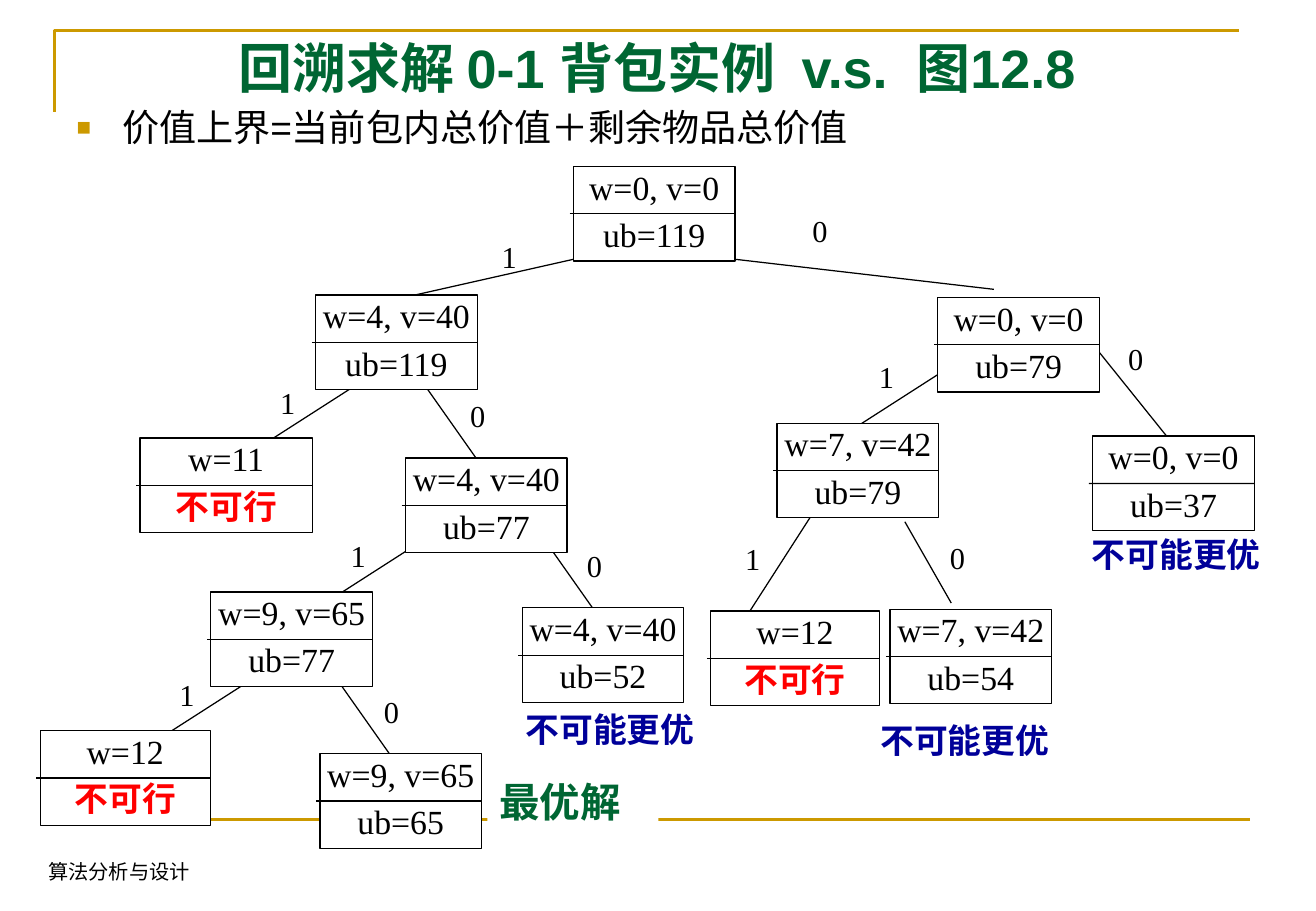
import pptx
import pptx.dml.color
import pptx.enum.shapes
import pptx.enum.text
import pptx.oxml.ns
import pptx.util
from lxml import etree

Cm = pptx.util.Cm
Pt = pptx.util.Pt
RGBColor = pptx.dml.color.RGBColor
Align = pptx.enum.text.PP_ALIGN
Anchor = pptx.enum.text.MSO_ANCHOR
qn = pptx.oxml.ns.qn

BLACK = RGBColor(0x00, 0x00, 0x00)
WHITE = RGBColor(0xFF, 0xFF, 0xFF)
GOLD = RGBColor(0xCC, 0x99, 0x00)
GREEN = RGBColor(0x00, 0x66, 0x33)
RED = RGBColor(0xFF, 0x00, 0x00)
NAVY = RGBColor(0x00, 0x00, 0x99)

TITLE_FONT = {"name": "Arial", "size": Pt(32), "bold": True}
BODY_FONT = {"name": "Arial", "size": Pt(22)}
NODE_FONT = {"name": "Times New Roman", "size": Pt(20)}
VERDICT_FONT = {"name": "Times New Roman", "size": Pt(20), "bold": True}
BRANCH_FONT = {"name": "Times New Roman", "size": Pt(18)}
NOTE_FONT = {"name": "Arial", "size": Pt(20), "bold": True}
BEST_FONT = {"name": "Arial", "size": Pt(24), "bold": True}
FOOTER_FONT = {"name": "Times New Roman", "size": Pt(12)}

SLIDE_HEIGHT = 19.05
SLIDE_WIDTH = SLIDE_HEIGHT * 13 / 9
NODE_WIDTH, NODE_HEIGHT = 3.38, 1.98
INFEASIBLE = "不可行"
NODES = [
    (11.99, 3.48, NODE_WIDTH, "w=0, v=0", "ub=119"),
    (6.6, 6.17, NODE_WIDTH, "w=4, v=40", "ub=119"),
    (2.93, 9.16, 3.6, "w=11", INFEASIBLE),
    (8.48, 9.58, NODE_WIDTH, "w=4, v=40", "ub=77"),
    (4.41, 12.38, NODE_WIDTH, "w=9, v=65", "ub=77"),
    (0.84, 15.28, 3.56, "w=12", INFEASIBLE),
    (6.69, 15.76, NODE_WIDTH, "w=9, v=65", "ub=65"),
    (10.92, 12.71, NODE_WIDTH, "w=4, v=40", "ub=52"),
    (19.61, 6.22, NODE_WIDTH, "w=0, v=0", "ub=79"),
    (16.25, 8.85, NODE_WIDTH, "w=7, v=42", "ub=79"),
    (14.86, 12.78, 3.53, "w=12", INFEASIBLE),
    (18.61, 12.74, NODE_WIDTH, "w=7, v=42", "ub=54"),
    (22.85, 9.12, NODE_WIDTH, "w=0, v=0", "ub=37"),
]

TAKE = ("1", (-2.68, 1.72), (-2.01, -0.04))
SKIP = ("0", (1.1, 1.56), (0.64, 0.04))
BRANCHES = [
    (12.93, 5.21, ("1", (-4.39, 0.99), (-2.69, -0.36))),
    (15.27, 5.41, ("0", (5.51, 0.64), (1.47, -1.09))),
    (7.62, 7.94, TAKE),
    (8.94, 8.14, SKIP),
    (9.09, 11.14, TAKE),
    (11.38, 11.28, SKIP),
    (5.51, 14.05, TAKE),
    (7.14, 14.34, SKIP),
    (19.91, 7.64, ("1", (-2.68, 1.72), (-1.78, -0.28))),
    (22.98, 7.36, ("0", (1.55, 1.93), (0.36, -0.38))),
    (17.01, 10.71, ("1", (-1.37, 2.13), (-1.68, 0.46))),
    (18.92, 10.91, ("0", (0.97, 1.7), (0.69, 0.25))),
]

NOTES = [(10.74, 14.52), (18.16, 14.75), (22.58, 10.86)]


def apply_formats(target, formats):
    for name, value in formats.items():
        setattr(target, name, value)


def add_span(para, text, font, color):
    span = para.add_run()
    span.text = text
    apply_formats(span.font, font)
    span.font.color.rgb = color
    return span


def add_line(page, x1, y1, x2, y2, color=BLACK, width=0.75):
    line = page.shapes.add_connector(
        pptx.enum.shapes.MSO_CONNECTOR.STRAIGHT, Cm(x1), Cm(y1), Cm(x2), Cm(y2))
    line.line.color.rgb = color
    line.line.width = Pt(width)
    etree.SubElement(line._element.spPr, qn("a:effectLst"))
    return line


def add_rectangle(page, x, y, width, height):
    box = page.shapes.add_shape(
        pptx.enum.shapes.MSO_SHAPE.RECTANGLE, Cm(x), Cm(y), Cm(width), Cm(height))
    box.shadow.inherit = False
    box.fill.solid()
    box.fill.fore_color.rgb = WHITE
    return box


def add_label(page, place, text, font, color=BLACK, spacing=1.0, **frame):
    box = page.shapes.add_textbox(*(Cm(length) for length in place))
    apply_formats(box.text_frame, {"word_wrap": True, **frame})
    para = box.text_frame.paragraphs[0]
    para.line_spacing = spacing
    add_span(para, text, font, color)


def add_node(page, x, y, width, state, bound):
    box = add_rectangle(page, x, y, width, NODE_HEIGHT)
    box.line.color.rgb = BLACK
    box.line.width = Pt(0.75)
    frame = box.text_frame
    apply_formats(frame, {
        "vertical_anchor": Anchor.TOP, "word_wrap": True, "margin_left": 0,
        "margin_right": 0, "margin_top": 0, "margin_bottom": 0})
    first, second = frame.paragraphs[0], frame.add_paragraph()
    first.alignment = second.alignment = Align.CENTER
    second.space_before = Pt(4)
    add_span(first, state, NODE_FONT, BLACK)
    if bound == INFEASIBLE:
        add_span(second, bound, VERDICT_FONT, RED)
    else:
        add_span(second, bound, NODE_FONT, BLACK)
    middle = y + NODE_HEIGHT / 2
    divider = add_line(page, x - 0.08, middle, x + width, middle)
    divider.end_connect(box, 3)


def add_branch(page, x, y, kind):
    digit, (dx, dy), (label_dx, label_dy) = kind
    add_line(page, x, y, x + dx, y + dy)
    add_label(page, (x + label_dx, y + label_dy, 0.84, 1.02), digit,
              BRANCH_FONT, word_wrap=False)


def add_frame(page):
    builder = page.shapes.build_freeform(Cm(1.14), Cm(2.34))
    builder.add_line_segments(
        [(Cm(1.14), Cm(0.64)), (Cm(25.91), Cm(0.64))], close=False)
    corner = builder.convert_to_shape()
    corner.shadow.inherit = False
    corner.fill.background()
    corner.line.color.rgb = GOLD
    corner.line.width = Pt(1.5)
    add_line(page, 1.37, 17.14, 26.14, 17.14, GOLD, 1.5)


def prepare_placeholder(holder, place):
    apply_formats(holder, dict(zip(("left", "top", "width", "height"), map(Cm, place))))
    apply_formats(holder.text_frame, {
        "vertical_anchor": Anchor.TOP, "word_wrap": True,
        "auto_size": pptx.enum.text.MSO_AUTO_SIZE.NONE})
    para = holder.text_frame.paragraphs[0]
    apply_formats(para, {"line_spacing": 1.1, "space_before": Pt(0)})
    return para


def fill_title(page):
    para = prepare_placeholder(page.shapes.title, (1.35, 0.46, 24.77, 1.6))
    para.alignment = Align.CENTER
    for text in ("回溯求解 0-1 背包实例", " ", "v.s.", " ", "图12.8"):
        span = add_span(para, text, TITLE_FONT, GREEN)
        if text == " ":
            span._r.get_or_add_rPr().set("spc", "800")


def fill_body(page):
    para = prepare_placeholder(page.placeholders[1], (1.35, 1.97, 24.77, 14.1))
    properties = para._p.get_or_add_pPr()
    properties.set("marL", str(Cm(0.95)))
    properties.set("indent", str(-Cm(0.95)))
    color = etree.SubElement(properties, qn("a:buClr"))
    etree.SubElement(color, qn("a:srgbClr"), val=str(GOLD))
    etree.SubElement(properties, qn("a:buSzPct"), val="65000")
    etree.SubElement(properties, qn("a:buFont"), typeface="Arial")
    etree.SubElement(properties, qn("a:buChar"), char="■")
    add_span(para, "价值上界=当前包内总价值＋剩余物品总价值", BODY_FONT, BLACK)


def add_best_label(page):
    box = add_rectangle(page, 10.19, 15.92, 3.58, 1.47)
    box.line.fill.background()
    box.text_frame.vertical_anchor = Anchor.TOP
    para = box.text_frame.paragraphs[0]
    apply_formats(para, {"alignment": Align.LEFT, "line_spacing": 1.2})
    add_span(para, "最优解", BEST_FONT, GREEN)


def main():
    deck = pptx.Presentation()
    apply_formats(deck, {"slide_width": Cm(SLIDE_WIDTH), "slide_height": Cm(SLIDE_HEIGHT)})
    page = deck.slides.add_slide(deck.slide_layouts[1])
    fill_title(page)
    fill_body(page)
    add_frame(page)
    for branch in BRANCHES:
        add_branch(page, *branch)
    for node in NODES:
        add_node(page, *node)
    for x, y in NOTES:
        add_label(page, (x, y, 4.42, 1.27), "不可能更优", NOTE_FONT, NAVY, 1.2)
    add_best_label(page)
    add_label(page, (0.76, 17.72, 8.71, 0.89), "算法分析与设计", FOOTER_FONT,
              vertical_anchor=Anchor.BOTTOM)
    deck.save("out.pptx")


if __name__ == "__main__":
    main()
